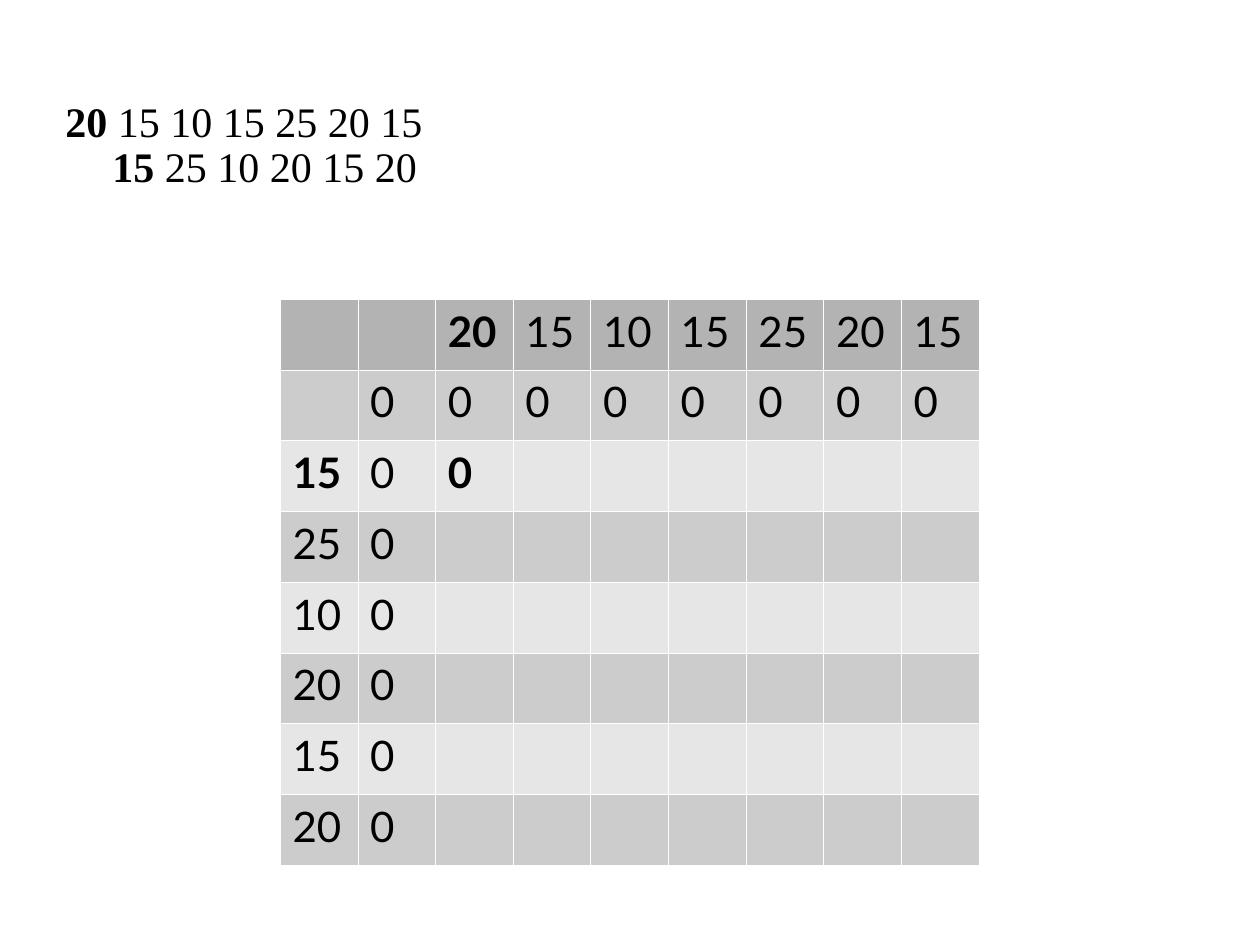
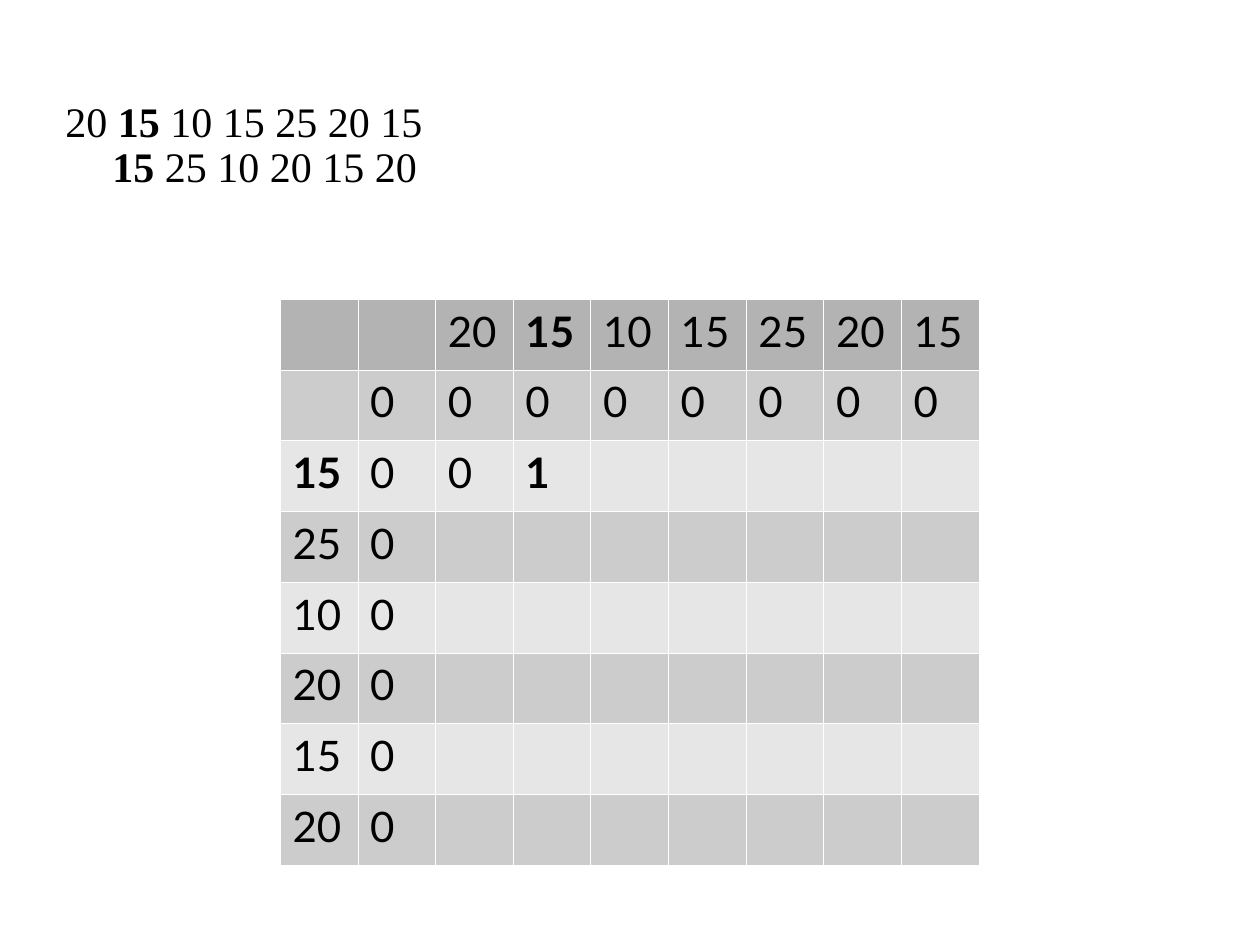
from dataclasses import dataclass

from lxml import etree
from pptx import Presentation
from pptx import util as u
from pptx.dml.color import RGBColor
from pptx.enum import text
from pptx.oxml import ns

PX = u.Inches(1) // 126


@dataclass(frozen=True)
class Theme:
    ink: str = "000000"
    border: str = "FFFFFF"
    header: str = "B3B3B3"
    dark_band: str = "CCCCCC"
    light_band: str = "E6E6E6"
    sequence_font: str = "Times New Roman"
    table_font: str = "Lato"
    size: int = 24
    border_width: float = 0.06


THEME = Theme()
ACROSS = [20, 15, 10, 15, 25, 20, 15]
DOWN = [15, 25, 10, 20, 15, 20]
FIRST_ROW_VALUES = [0, 1]
BLANK_LAYOUT = 6


def px(*lengths):
    return [u.Emu(length * PX) for length in lengths]


def style_paragraph(paragraph, font_name, line_spacing):
    paragraph.line_spacing = line_spacing
    font = paragraph.font
    font.name = font_name
    font.size = u.Pt(THEME.size)
    font.color.rgb = RGBColor.from_string(THEME.ink)


def add_sequence(paragraph, numbers, current):
    before = "".join(f"{number} " for number in numbers[:current])
    after = "".join(f" {number}" for number in numbers[current + 1:])
    for part, bold in ((before, False), (str(numbers[current]), True), (after, False)):
        if part:
            run = paragraph.add_run()
            run.text = part
            run.font.bold = bold


def add_sequences(slide, column):
    frame = slide.shapes.add_textbox(*px(53, 95, 1113, 775)).text_frame
    frame.word_wrap = True
    frame.vertical_anchor = text.MSO_ANCHOR.TOP
    paragraph = frame.paragraphs[0]
    indent = 47 * PX
    properties = paragraph._p.get_or_add_pPr()
    properties.set("marL", str(indent))
    properties.set("indent", str(-indent))
    style_paragraph(paragraph, THEME.sequence_font, 0.9)
    add_sequence(paragraph, ACROSS, column)
    paragraph.add_line_break()
    add_sequence(paragraph, DOWN, 0)


def add_borders(cell):
    properties = cell._tc.get_or_add_tcPr()
    for side in ("a:lnL", "a:lnR", "a:lnT", "a:lnB"):
        line = etree.SubElement(properties, ns.qn(side), w=str(u.Pt(THEME.border_width)))
        fill = etree.SubElement(line, ns.qn("a:solidFill"))
        etree.SubElement(fill, ns.qn("a:srgbClr"), val=THEME.border)


def fill_cell(cell, value, color, bold):
    add_borders(cell)
    cell.fill.solid()
    cell.fill.fore_color.rgb = RGBColor.from_string(color)
    cell.text = str(value)
    paragraph = cell.text_frame.paragraphs[0]
    style_paragraph(paragraph, THEME.table_font, 1.01)
    paragraph.font.bold = bold


def row_color(row):
    if row == 0:
        return THEME.header
    return THEME.dark_band if row % 2 else THEME.light_band


def length_rows(column):
    blank = [""] * len(ACROSS)
    known = FIRST_ROW_VALUES[:column + 1]
    rows = [["", "", *ACROSS], ["", 0, *[0] * len(ACROSS)]]
    rows += [[number, 0, *blank] for number in DOWN]
    rows[2][2:2 + len(known)] = known
    return rows


def add_length_table(slide, column):
    rows = length_rows(column)
    table = slide.shapes.add_table(len(rows), len(rows[0]), *px(280, 299, 699, 566)).table
    table.first_row = False
    table.horz_banding = False
    current_cells = {(0, column + 2), (2, 0), (2, column + 2)}
    for row, values in enumerate(rows):
        for place, value in enumerate(values):
            bold = (row, place) in current_cells
            fill_cell(table.cell(row, place), value, row_color(row), bold)


def main():
    presentation = Presentation()
    presentation.slide_width, presentation.slide_height = px(1260, 945)
    for column in range(len(FIRST_ROW_VALUES)):
        slide = presentation.slides.add_slide(presentation.slide_layouts[BLANK_LAYOUT])
        add_sequences(slide, column)
        add_length_table(slide, column)
    presentation.save("out.pptx")


if __name__ == "__main__":
    main()
